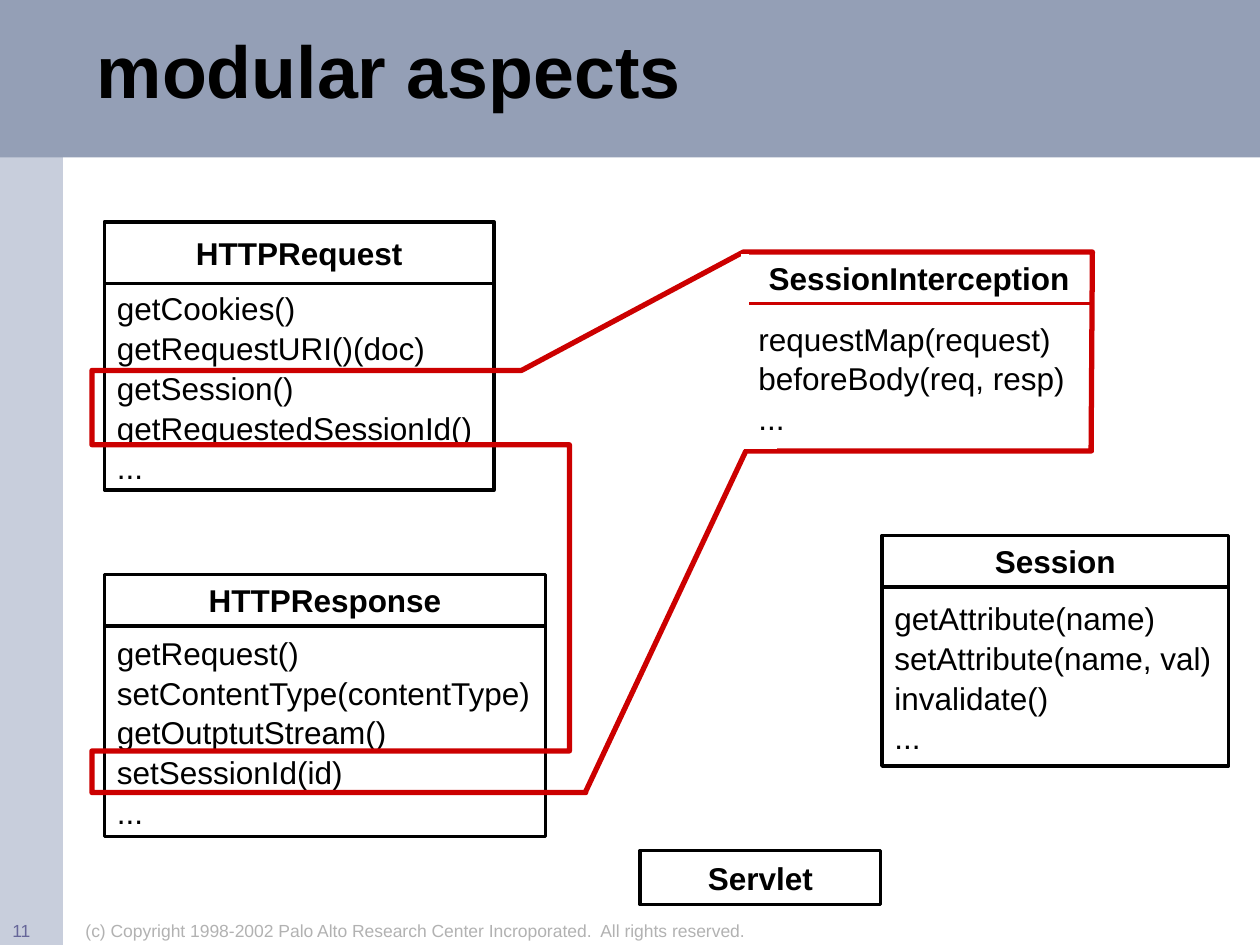
from dataclasses import dataclass

from lxml.etree import SubElement
from pptx import Presentation
from pptx.dml.color import RGBColor
from pptx.enum.shapes import MSO_CONNECTOR as CONN, MSO_SHAPE as SHAPE
from pptx.enum.text import MSO_ANCHOR as ANCHOR, PP_ALIGN as ALIGN
from pptx.oxml.ns import qn
from pptx.util import Inches, Pt


@dataclass(frozen=True)
class Theme:
    font: str = "Arial"
    text: str = "000000"
    aspect: str = "CC0000"
    paper: str = "FFFFFF"
    side: str = "C8CEDC"
    banner: str = "949FB6"
    footer: str = "B2B2B2"
    number: str = "666699"
    title_size: int = 42
    body_size: int = 18
    small_size: int = 10
    box_line: float = 2
    outline: float = 3
    mask: float = 4.5
    title_spacing: float = 0.85
    body_spacing: float = 1.05


T = Theme()

BANDS = [((0, 0, 0.5, 7.5), T.side), ((0, 0, 10, 1.25), T.banner)]

CLASSES = [
    ("HTTPRequest", (0.83, 1.76, 3.09), 0.49, 1.64, T.text,
     ["getCookies()", "getRequestURI()(doc)",
      "getSession()\vgetRequestedSessionId()", "..."]),
    ("Session", (7, 4.25, 2.75), 0.41, 1.42, T.text,
     ["getAttribute(name)", "setAttribute(name, val)", "invalidate()", "..."]),
    ("HTTPResponse", (0.83, 4.56, 3.5), 0.41, 1.67, T.text,
     ["getRequest()", "setContentType(contentType)",
      "getOutptutStream()\vsetSessionId(id)", "..."]),
    ("Servlet", (5.08, 6.75, 1.91), 0.43, 0, T.text, []),
    ("SessionInterception", (5.92, 2, 2.75), 0.41, 1.17, T.aspect,
     ["requestMap(request)", "beforeBody(req, resp)", "..."]),
]

ASPECT_OUTLINE = [
    (4.65, 6.29), (0.73, 6.29), (0.73, 5.96), (4.52, 5.96), (4.52, 3.53),
    (0.73, 3.53), (0.73, 2.94), (4.14, 2.94), (5.9, 2), (8.67, 2),
    (8.66, 3.58), (5.92, 3.58), (4.65, 6.28),
]

MASKS = [(5.91, 2.02, 5.91, 3.56), (5.75, 3.53, 6.17, 3.53)]

TITLE = ("modular aspects", (0.67, 0.08, 8.33, 1.05))
FOOTERS = [
    ("(c) Copyright 1998-2002 Palo Alto Research Center Incroporated.  All rights reserved.",
     (0.58, 7.25, 5.58, 0.25), T.footer),
    ("11", (0, 7.25, 0.5, 0.25), T.number),
]


def rgb(value):
    return RGBColor.from_string(value)


def inches(values):
    return [Inches(v) for v in values]


def write(s, lines, size, color, bold=False, align=ALIGN.LEFT,
          anchor=ANCHOR.TOP, wrap=True, spacing=1.0):
    tf = s.text_frame
    tf.word_wrap = wrap
    tf.vertical_anchor = anchor
    for i, line in enumerate(lines):
        p = tf.paragraphs[0] if i == 0 else tf.add_paragraph()
        p.text = line
        p.alignment = align
        p.line_spacing = spacing
        p.font.name = T.font
        p.font.size = Pt(size)
        p.font.bold = bold
        p.font.color.rgb = rgb(color)


def stroke(s, color, width):
    s.line.color.rgb = rgb(color)
    s.line.width = Pt(width)


def add_band(sp, box, color):
    s = sp.add_shape(SHAPE.RECTANGLE, *inches(box))
    s.shadow.inherit = False
    s.fill.solid()
    s.fill.fore_color.rgb = rgb(color)
    s.line.fill.background()


def add_cell(sp, box, color, lines, **style):
    s = sp.add_shape(SHAPE.RECTANGLE, *inches(box))
    s.shadow.inherit = False
    s.fill.background()
    stroke(s, color, T.box_line)
    write(s, lines, T.body_size, T.text, anchor=ANCHOR.MIDDLE, wrap=False, **style)


def add_class(sp, name, place, head, body, color, methods):
    x, y, w = place
    add_cell(sp, (x, y, w, head), color, [name], bold=True, align=ALIGN.CENTER)
    if methods:
        add_cell(sp, (x, y + head, w, body), color, methods, spacing=T.body_spacing)


def add_outline(sp, points):
    start, *rest = [inches(pt) for pt in points]
    builder = sp.build_freeform(*start)
    builder.add_line_segments(rest, close=True)
    s = builder.convert_to_shape()
    s.shadow.inherit = False
    s.fill.background()
    stroke(s, T.aspect, T.outline)


def add_mask(sp, ends):
    s = sp.add_connector(CONN.STRAIGHT, *inches(ends))
    stroke(s, T.paper, T.mask)
    SubElement(s._element.spPr, qn("a:effectLst"))


def main():
    """Build the slide on modular aspects."""
    prs = Presentation()
    prs.slide_width, prs.slide_height = Inches(10), Inches(7.5)
    slide = prs.slides.add_slide(prs.slide_layouts[6])
    sp = slide.shapes
    for box, color in BANDS:
        add_band(sp, box, color)
    title, box = TITLE
    write(sp.add_textbox(*inches(box)), [title], T.title_size, T.text, bold=True,
          anchor=ANCHOR.MIDDLE, spacing=T.title_spacing)
    for item in CLASSES:
        add_class(sp, *item)
    add_outline(sp, ASPECT_OUTLINE)
    for ends in MASKS:
        add_mask(sp, ends)
    for text, box, color in FOOTERS:
        write(sp.add_textbox(*inches(box)), [text], T.small_size, color)
    prs.save("out.pptx")


if __name__ == "__main__":
    main()
